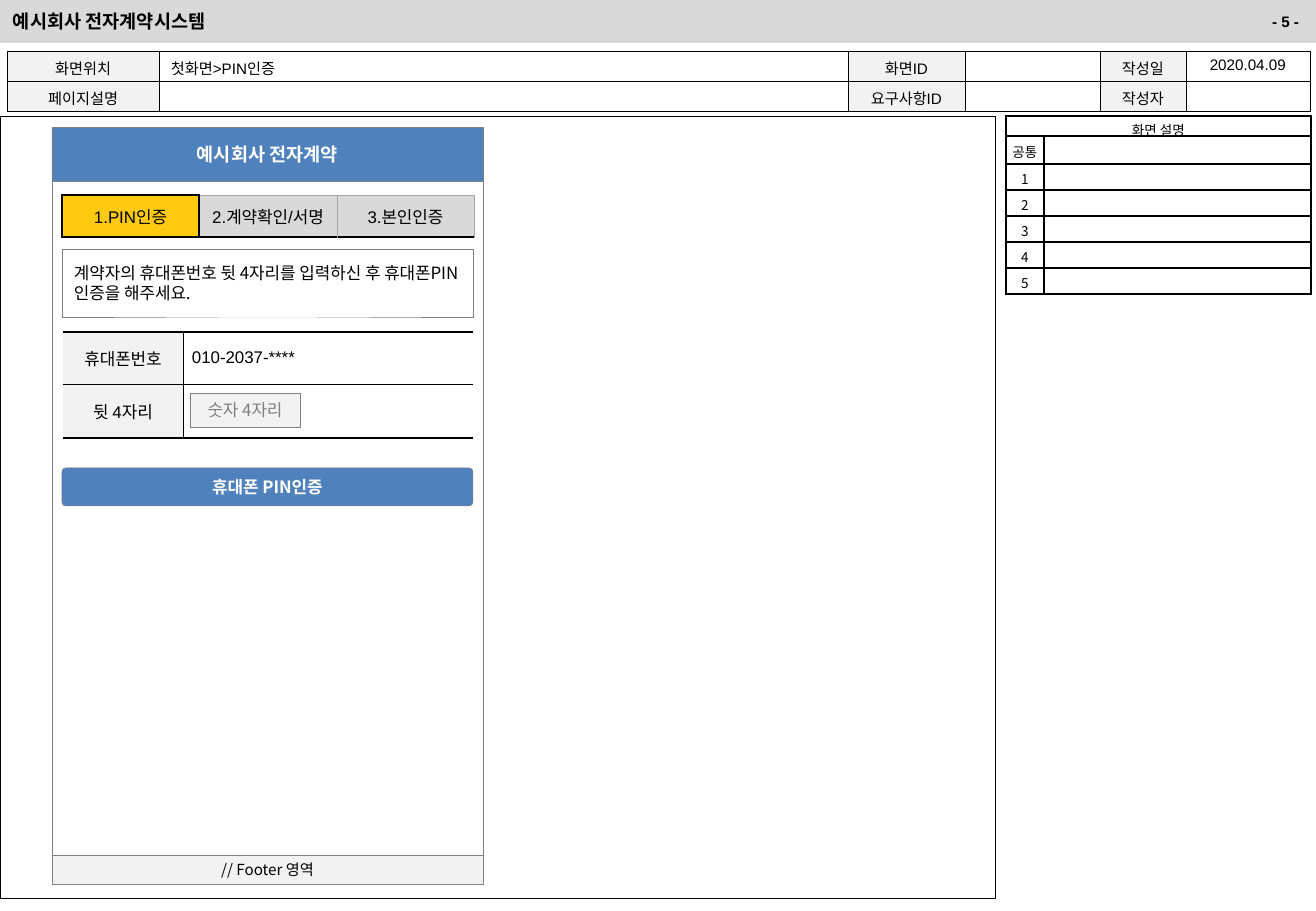
import pptx
import pptx.dml.color
import pptx.enum.shapes
import pptx.enum.text
import pptx.oxml
import pptx.oxml.ns
import pptx.util
from lxml import etree

EMU_PER_PX = 7526
SLIDE_SIZE = (1316, 911)
ARIAL, NOTO = "Arial", "Noto Sans CJK KR"
BLACK, WHITE, GREY = "000000", "FFFFFF", "808080"
PALE, SILVER, BLUE, YELLOW = "F2F2F2", "D9D9D9", "4F81BD", "FFCA11"
THIN, BOLD, FAINT = (BLACK, 0.25), (BLACK, 1), ("A6A6A6", 0.25)
HAIRLINE = (GREY, 0.1)

LEFT = pptx.enum.text.PP_ALIGN.LEFT
CENTER = pptx.enum.text.PP_ALIGN.CENTER
RIGHT = pptx.enum.text.PP_ALIGN.RIGHT
TOP = pptx.enum.text.MSO_ANCHOR.TOP
MIDDLE = pptx.enum.text.MSO_ANCHOR.MIDDLE
RECTANGLE = pptx.enum.shapes.MSO_SHAPE.RECTANGLE
ROUNDED = pptx.enum.shapes.MSO_SHAPE.ROUNDED_RECTANGLE


def text_format(size, name=NOTO, color=BLACK, bold=False, align=CENTER, **spacing):
    return {"font": {"size": pptx.util.Pt(size), "name": name, "bold": bold},
            "color": color, "paragraph": {"alignment": align, **spacing}}


# kind (None is a text box), place, fill, line, text, text format
FRAME_BOXES = [
    (RECTANGLE, (0, 116, 995, 782), WHITE, THIN, "", None),
    (RECTANGLE, (0, 0, 1316, 43), SILVER, None, "", None),
    (None, (1, 4, 914, 35), None, None, "예시회사 전자계약시스템",
     text_format(11, bold=True, align=LEFT)),
    (None, (1216, 6, 95, 30), None, None, "- 5 -",
     text_format(9, ARIAL, bold=True, align=RIGHT)),
    (RECTANGLE, (52, 127, 431, 728), None, HAIRLINE, "", None),
    (RECTANGLE, (52, 855, 431, 29), PALE, HAIRLINE, "// Footer 영역", text_format(9)),
]
PHONE_BOXES = [
    (ROUNDED, (62, 468, 411, 38), BLUE, (GREY, 0.25), "휴대폰 PIN인증",
     text_format(10, color=WHITE, bold=True)),
    (RECTANGLE, (190, 393, 110, 34), PALE, HAIRLINE, "숫자 4자리",
     text_format(10, color=GREY)),
    (RECTANGLE, (62, 249, 411, 68), None, HAIRLINE,
     "계약자의 휴대폰번호 뒷 4자리를 입력하신 후 휴대폰PIN인증을 해주세요.",
     text_format(10, align=LEFT)),
    (RECTANGLE, (52, 127, 431, 54), BLUE, HAIRLINE, "예시회사 전자계약",
     text_format(11, color=WHITE, bold=True)),
]

# horizontals: one list per rule, one entry per column; verticals: one entry per rule
TABLES = [
    {"at": (7, 51), "columns": [152, 689, 117, 135, 86, 124], "rows": [30, 30],
     "cells": [["화면위치", "첫화면>PIN인증", "화면ID", "", "작성일", "2020.04.09"],
               ["페이지설명", "", "요구사항ID", "", "작성자", ""]],
     "fills": [PALE, None] * 3, "left_columns": [1], "anchor": TOP, "insets": (12, 6),
     "horizontals": [[THIN] * 6] * 3, "verticals": [THIN] * 7,
     "text": text_format(9, ARIAL, space_before=pptx.util.Pt(1.8))},
    {"at": (1006, 116), "columns": [38, 267], "rows": [20, 28] + [26] * 5,
     "cells": [[label, ""] for label in ("화면 설명", "공통", *"12345")],
     "fills": [None, None], "left_columns": [], "anchor": MIDDLE, "insets": (0, 0),
     "horizontals": [[BOLD] * 2] * 8, "verticals": [BOLD] * 3, "merge_first_row": True,
     "text": text_format(8, line_spacing=1.2)},
    {"at": (62, 195), "columns": [137, 138, 137], "rows": [42],
     "cells": [["1.PIN인증", "2.계약확인/서명", "3.본인인증"]],
     "fills": [YELLOW, SILVER, SILVER], "left_columns": [], "anchor": MIDDLE, "insets": (0, 0),
     "horizontals": [[BOLD, FAINT, FAINT], [BOLD] * 3],
     "verticals": [BOLD, BOLD, FAINT, FAINT], "text": text_format(10, ARIAL)},
    {"at": (63, 332), "columns": [120, 290], "rows": [52, 54],
     "cells": [["휴대폰번호", "010-2037-****"], ["뒷 4자리", ""]],
     "fills": [PALE, WHITE], "left_columns": [1], "anchor": MIDDLE, "insets": (9, 0),
     "horizontals": [[BOLD] * 2, [THIN] * 2, [BOLD] * 2],
     "verticals": [None, THIN, None], "text": text_format(10, ARIAL)},
]


def px(*lengths):
    return [pptx.util.Emu(length * EMU_PER_PX) for length in lengths]


def rgb(color):
    return pptx.dml.color.RGBColor.from_string(color)


def set_attributes(target, values):
    for name, value in values.items():
        setattr(target, name, value)


def set_fill(fill, color):
    if color:
        fill.solid()
        fill.fore_color.rgb = rgb(color)
    else:
        fill.background()


def write(text_frame, text, style, align=None):
    paragraph = text_frame.paragraphs[0]
    set_attributes(paragraph, style["paragraph"])
    if align is not None:
        paragraph.alignment = align
    if not text:
        # Keeps an empty cell from growing to the default text size.
        end = etree.SubElement(paragraph._p, pptx.oxml.ns.qn("a:endParaRPr"))
        end.set("sz", str(style["font"]["size"].centipoints))
        return
    run = paragraph.add_run()
    run.text = text
    set_attributes(run.font, style["font"])
    run.font.color.rgb = rgb(style["color"])
    east_asian = etree.SubElement(run._r.get_or_add_rPr(), pptx.oxml.ns.qn("a:ea"))
    east_asian.set("typeface", NOTO)


def add_box(slide, kind, place, fill, line, text, style):
    if kind is None:
        shape = slide.shapes.add_textbox(*px(*place))
    else:
        shape = slide.shapes.add_shape(kind, *px(*place))
        shape.shadow.inherit = False
        set_fill(shape.fill, fill)
        set_fill(shape.line.fill, line and line[0])
        if line:
            shape.line.width = pptx.util.Pt(line[1])
    if kind == ROUNDED:
        shape.adjustments[0] = 0.1
    if text:
        set_attributes(shape.text_frame, {"word_wrap": True, "vertical_anchor": MIDDLE})
        write(shape.text_frame, text, style)


def add_border(cell, side, border):
    line = etree.SubElement(cell._tc.get_or_add_tcPr(), pptx.oxml.ns.qn("a:ln" + side))
    if border is None:
        etree.SubElement(line, pptx.oxml.ns.qn("a:noFill"))
        return
    color, width = border
    line.set("w", str(pptx.util.Pt(width)))
    solid = etree.SubElement(line, pptx.oxml.ns.qn("a:solidFill"))
    etree.SubElement(solid, pptx.oxml.ns.qn("a:srgbClr")).set("val", color)


def add_table(slide, content):
    columns, rows = content["columns"], content["rows"]
    table = slide.shapes.add_table(
        len(rows), len(columns), *px(*content["at"], sum(columns), sum(rows))).table
    set_attributes(table, {"first_row": False, "horz_banding": False})
    for column, width in zip(table.columns, px(*columns)):
        column.width = width
    for row, height in zip(table.rows, px(*rows)):
        row.height = height
    side_inset, end_inset = px(*content["insets"])
    horizontals, verticals = content["horizontals"], content["verticals"]
    for i, texts in enumerate(content["cells"]):
        for j, text in enumerate(texts):
            cell = table.cell(i, j)
            set_attributes(cell, {
                "margin_left": side_inset, "margin_right": side_inset,
                "margin_top": end_inset, "margin_bottom": end_inset,
                "vertical_anchor": content["anchor"]})
            borders = {"L": verticals[j], "R": verticals[j + 1],
                       "T": horizontals[i][j], "B": horizontals[i + 1][j]}
            for side, border in borders.items():
                add_border(cell, side, border)
            set_fill(cell.fill, content["fills"][j])
            align = LEFT if j in content["left_columns"] else None
            write(cell.text_frame, text, content["text"], align)
    if content.get("merge_first_row"):
        table.cell(0, 0).merge(table.cell(0, len(columns) - 1))


def main():
    presentation = pptx.Presentation()
    presentation.slide_width, presentation.slide_height = px(*SLIDE_SIZE)
    slide = presentation.slides.add_slide(presentation.slide_layouts[6])
    for box in FRAME_BOXES:
        add_box(slide, *box)
    for content in TABLES:
        add_table(slide, content)
    for box in PHONE_BOXES:
        add_box(slide, *box)
    presentation.save("out.pptx")


if __name__ == "__main__":
    main()
